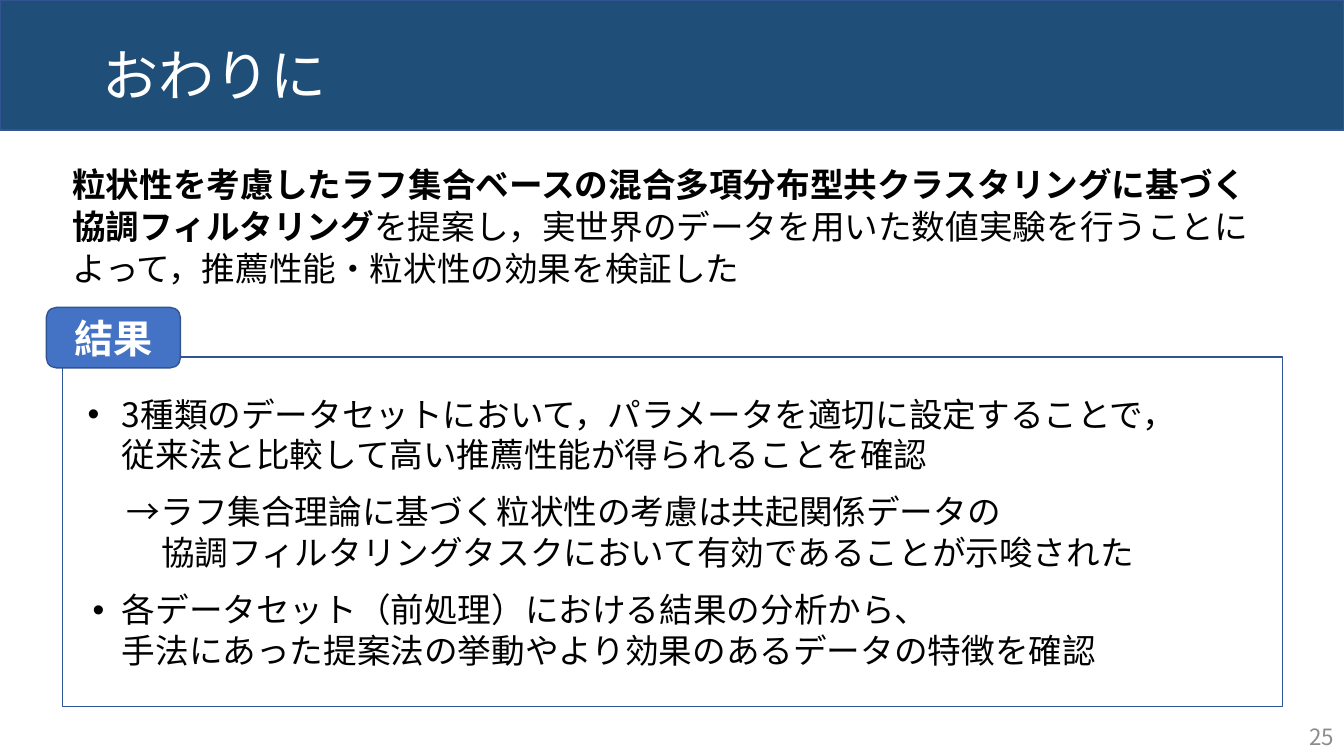
from dataclasses import dataclass

from lxml import etree
from pptx import Presentation
from pptx import util as u
from pptx.dml.color import RGBColor
from pptx.enum import shapes, text
from pptx.oxml.ns import qn

PX = 9144  # EMU per px, 100 px to the inch


@dataclass(frozen=True)
class Theme:
    font: str = "Noto Sans CJK JP"
    banner: str = "1F4E79"
    edge: str = "325491"
    frame: str = "2F5597"
    label: str = "4472C4"
    light: str = "FFFFFF"
    ink: str = "000000"
    muted: str = "8C8C8C"
    title_pt: int = 40
    label_pt: int = 28
    body_pt: int = 24
    number_pt: int = 16


class Deck:
    def __init__(self, theme, width, height):
        self.theme = theme
        self.prs = Presentation()
        self.prs.slide_width, self.prs.slide_height = width * PX, height * PX

    def add_slide(self):
        self.s = self.prs.slides.add_slide(self.prs.slide_layouts[6])

    def box(self, x, y, w, h, fill=None, line=None, kind=shapes.MSO_SHAPE.RECTANGLE):
        sp = self.s.shapes.add_shape(kind, x * PX, y * PX, w * PX, h * PX)
        sp.shadow.inherit = False
        if fill:
            sp.fill.solid()
            sp.fill.fore_color.rgb = RGBColor.from_string(fill)
        else:
            sp.fill.background()
        sp.line.color.rgb = RGBColor.from_string(line)
        sp.line.width = u.Pt(1)
        return sp

    def textbox(self, x, y, w, h):
        return self.s.shapes.add_textbox(x * PX, y * PX, w * PX, h * PX)

    def frame(self, sp, anchor=text.MSO_ANCHOR.MIDDLE):
        """Prepare the text frame of a shape and return it."""
        tf = sp.text_frame
        tf.word_wrap = True
        tf.vertical_anchor = anchor
        return tf

    def paragraph(self, p, align=text.PP_ALIGN.LEFT, spacing=None, after=0,
                  left=0, hang=0, bullet=None):
        """Format a paragraph; left and hang are px."""
        pPr = p._p.get_or_add_pPr()
        pPr.set("marL", str(left * PX))
        pPr.set("indent", str(-hang * PX))
        if bullet:
            etree.SubElement(pPr, qn("a:buFont")).set("typeface", "Arial")
            etree.SubElement(pPr, qn("a:buChar")).set("char", bullet)
        p.alignment = align
        p.space_after = u.Pt(after)
        if spacing:
            p.line_spacing = spacing
        return p

    def add_text(self, p, content, size, color=None, bold=False):
        """Add text to a paragraph, with a line break at each newline."""
        for i, line in enumerate(content.split("\n")):
            if i:
                p.add_line_break()
            r = p.add_run()
            r.text = line
            r.font.size = u.Pt(size)
            r.font.bold = bold
            r.font.name = self.theme.font
            r.font.color.rgb = RGBColor.from_string(color or self.theme.ink)
            ea = etree.SubElement(r._r.get_or_add_rPr(), qn("a:ea"))
            ea.set("typeface", self.theme.font)


RESULTS = [
    ("3種類のデータセットにおいて，パラメータを適切に設定することで，\n"
     "従来法と比較して高い推薦性能が得られることを確認",
     dict(left=49, hang=34, bullet="•", after=12)),
    ("→ラフ集合理論に基づく粒状性の考慮は共起関係データの\n"
     "協調フィルタリングタスクにおいて有効であることが示唆された",
     dict(left=88, hang=34, after=12)),
    ("各データセット（前処理）における結果の分析から、\n"
     "手法にあった提案法の挙動やより効果のあるデータの特徴を確認",
     dict(left=49, hang=29, bullet="•")),
]


def main():
    t = Theme()
    d = Deck(t, 1333, 750)
    d.add_slide()

    d.box(0, 0, 1333, 129, t.banner, t.edge)
    title = d.frame(d.textbox(92, 27, 1150, 102))
    p = d.paragraph(title.paragraphs[0], spacing=0.9)
    d.add_text(p, "おわりに", t.title_pt, t.light)

    summary = d.frame(d.textbox(62, 156, 1210, 129), text.MSO_ANCHOR.TOP)
    p = d.paragraph(summary.paragraphs[0], spacing=u.Pt(30))
    d.add_text(p, "粒状性を考慮したラフ集合ベースの混合多項分布型共クラスタリングに基づく"
                  "協調フィルタリング", t.body_pt, bold=True)
    d.add_text(p, "を提案し，実世界のデータを用いた数値実験を行うことによって，"
                  "推薦性能・粒状性の効果を検証した", t.body_pt)

    number = d.frame(d.textbox(1033, 711, 300, 40))
    p = d.paragraph(number.paragraphs[0], align=text.PP_ALIGN.RIGHT)
    d.add_text(p, "25", t.number_pt, t.muted)

    results = d.frame(d.box(62, 354, 1210, 347, line=t.frame))
    for i, (content, style) in enumerate(RESULTS):
        p = results.add_paragraph() if i else results.paragraphs[0]
        d.paragraph(p, spacing=u.Pt(29), **style)
        d.add_text(p, content, t.body_pt)

    label = d.frame(d.box(46, 305, 133, 60, t.label, t.edge,
                          shapes.MSO_SHAPE.ROUNDED_RECTANGLE))
    p = d.paragraph(label.paragraphs[0], align=text.PP_ALIGN.CENTER)
    d.add_text(p, "結果", t.label_pt, t.light, bold=True)

    d.prs.save("out.pptx")


if __name__ == "__main__":
    main()
